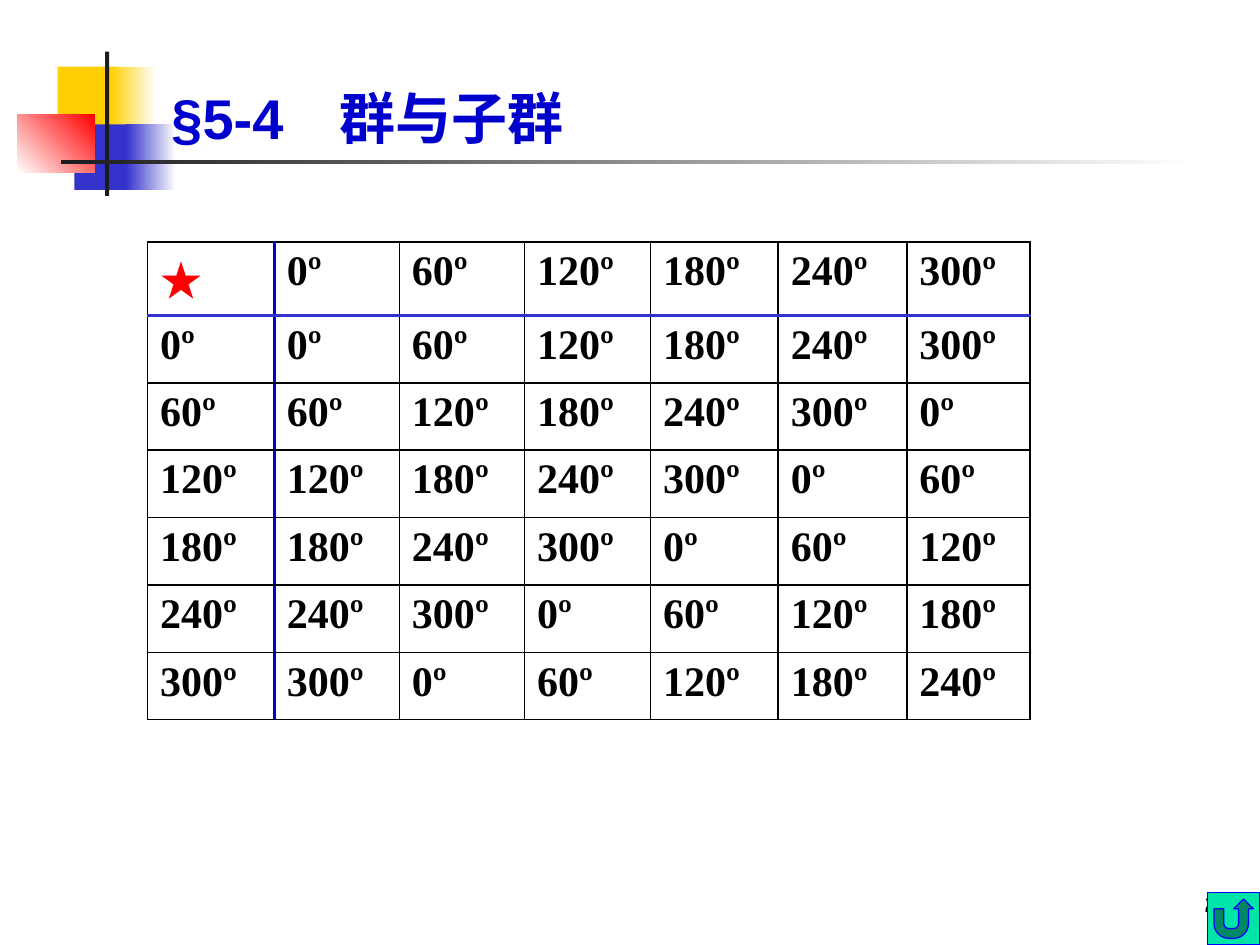
import pptx
import pptx.util
import pptx.dml.color
import pptx.enum.shapes
import pptx.enum.text
import pptx.oxml
import pptx.oxml.ns

Pt = pptx.util.Pt
SHAPE = pptx.enum.shapes.MSO_SHAPE
ANCHOR = pptx.enum.text.MSO_ANCHOR
ALIGN = pptx.enum.text.PP_ALIGN

TITLE = "§5-4　群与子群"
PAGE = "21"
ANGLES = [0, 60, 120, 180, 240, 300]
HEADER = ["★"] + [f"{a}º" for a in ANGLES]
BODY = [[f"{a}º"] + [f"{(a + b) % 360}º" for b in ANGLES] for a in ANGLES]

COLS = [72.5, 71.5, 71.5, 72, 73, 73.5, 70.5]
ROWS = [42] + [38.5] * len(ANGLES)
DECOR = [
    ((33, 38, 34.5, 37.5), ["FFCF01"], 0),
    ((63, 38, 26, 37.5), ["FFCF01", "FFFFFF"], 0),
    ((42.5, 71, 33, 37.5), ["3333CC"], 0),
    ((72, 71, 28.5, 37.5), ["3333CC", "FFFFFF"], 0),
    ((10, 65.3, 44, 33.4), ["FFFFFF", "FF0000"], 45),
    ((60, 29.5, 2.4, 82.5), ["1C1C1C"], 0),
    ((35, 91.3, 648, 2.5), ["1C1C1C", "FFFFFF"], 0),
]


def rgb(value):
    return pptx.dml.color.RGBColor.from_string(value)


def add_box(s, kind, box, colors, angle=0):
    sp = s.shapes.add_shape(kind, *map(Pt, box))
    sp.shadow.inherit = False
    sp.line.fill.background()
    if len(colors) == 1:
        sp.fill.solid()
        sp.fill.fore_color.rgb = rgb(colors[0])
    else:
        sp.fill.gradient()
        sp.fill.gradient_angle = angle
        for stop, color, position in zip(sp.fill.gradient_stops, colors, (0, 1)):
            stop.color.rgb = rgb(color)
            stop.position = position
    return sp


def add_run(p, text, size, font, color, bold=True, east_asian=None):
    r = p.add_run()
    r.text = text
    r.font.size, r.font.name, r.font.bold = Pt(size), font, bold
    r.font.color.rgb = rgb(color)
    if east_asian:
        ea = pptx.oxml.parse_xml(
            f'<a:ea {pptx.oxml.ns.nsdecls("a")} typeface="{east_asian}"/>')
        r.font._element.find(pptx.oxml.ns.qn("a:latin")).addnext(ea)


def set_borders(cell, row, col):
    plain, across, down = ("000000", 1), ("3333CC", 2.25), ("0000CC", 2.25)
    sides = {
        "L": down if col == 1 else plain,
        "R": down if col == 0 else plain,
        "T": across if row == 1 else plain,
        "B": across if row == 0 else plain,
    }
    tc_pr = cell._tc.get_or_add_tcPr()
    for i, (side, (color, width)) in enumerate(sides.items()):
        tc_pr.insert(i, pptx.oxml.parse_xml(
            f'<a:ln{side} {pptx.oxml.ns.nsdecls("a")} w="{Pt(width)}"><a:solidFill>'
            f'<a:srgbClr val="{color}"/></a:solidFill></a:ln{side}>'))


def add_angle_table(s):
    grid = [HEADER] + BODY
    frame = s.shapes.add_table(len(grid), len(HEADER), Pt(84.25), Pt(138.25),
                               Pt(sum(COLS)), Pt(sum(ROWS)))
    table = frame.table
    table.first_row = table.horz_banding = False
    for column, width in zip(table.columns, COLS):
        column.width = Pt(width)
    for row, height in zip(table.rows, ROWS):
        row.height = Pt(height)
    for i, values in enumerate(grid):
        for j, value in enumerate(values):
            cell = table.cell(i, j)
            cell.fill.background()
            set_borders(cell, i, j)
            p = cell.text_frame.paragraphs[0]
            if value == "★":
                add_run(p, value, 24, "Noto Sans CJK SC", "FF0000",
                        east_asian="Noto Sans CJK SC")
            else:
                add_run(p, value, 24, "Times New Roman", "000000")


def main():
    """Build the slide with the composition table of the rotation group."""
    prs = pptx.Presentation()
    prs.slide_width, prs.slide_height = Pt(720), Pt(540)
    s = prs.slides.add_slide(prs.slide_layouts[5])

    for box, colors, angle in DECOR:
        add_box(s, SHAPE.RECTANGLE, box, colors, angle)

    number = s.shapes.add_textbox(Pt(558), Pt(492), Pt(150), Pt(36))
    tf = number.text_frame
    tf.word_wrap, tf.vertical_anchor = True, ANCHOR.BOTTOM
    tf.paragraphs[0].alignment = ALIGN.RIGHT
    add_run(tf.paragraphs[0], PAGE, 14, "Karla", "000000", bold=False)

    title = s.shapes.title
    s.shapes._spTree.append(title._element)
    title.left, title.top, title.width, title.height = map(Pt, (90.75, 0, 613.5, 90))
    tf = title.text_frame
    tf.word_wrap, tf.vertical_anchor = True, ANCHOR.BOTTOM
    tf.auto_size = pptx.enum.text.MSO_AUTO_SIZE.NONE
    tf.paragraphs[0].alignment = ALIGN.LEFT
    add_run(tf.paragraphs[0], TITLE, 32, "Arial", "0000CC", east_asian="Noto Sans CJK SC")

    add_angle_table(s)

    button = add_box(s, SHAPE.ACTION_BUTTON_RETURN, (690, 510, 30, 30), ["00E4A8"])
    button.line.color.rgb = rgb("0000FF")
    button.line.width = Pt(0.75)

    prs.save("out.pptx")


if __name__ == "__main__":
    main()
